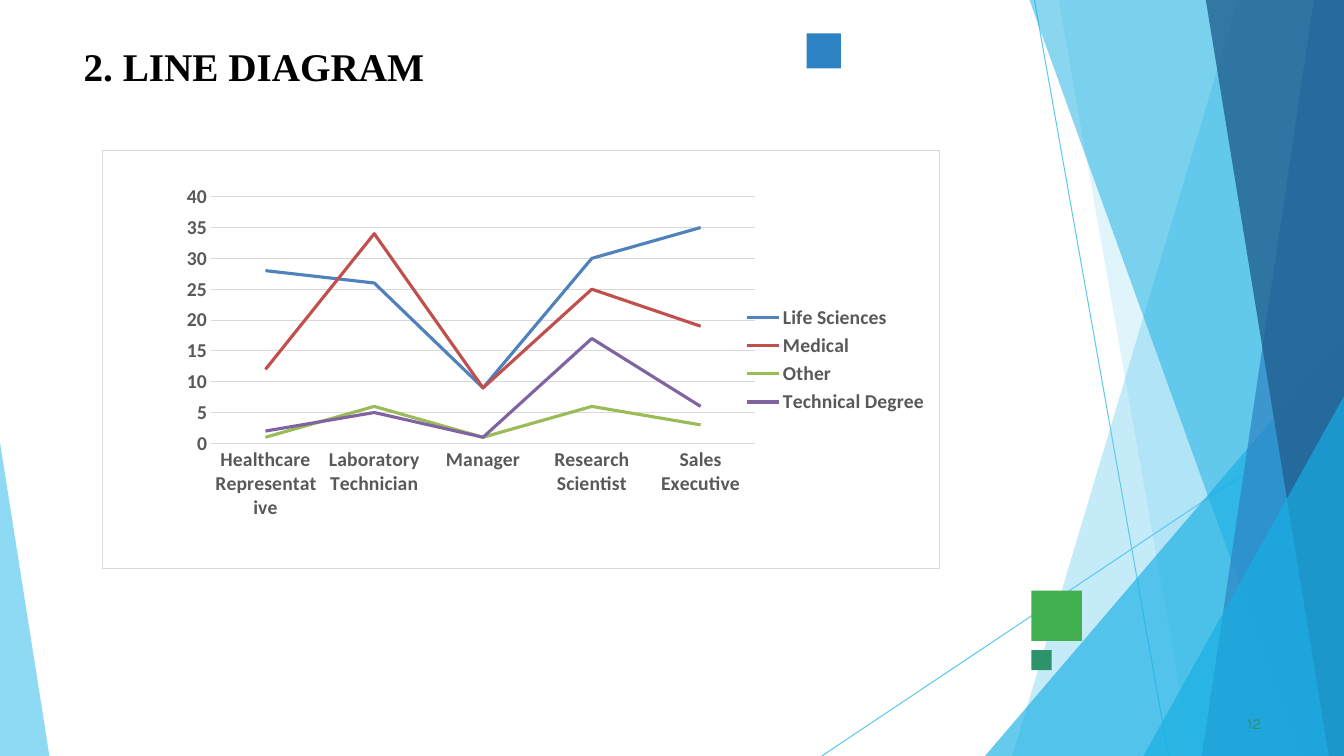
import lxml.etree
import pptx
import pptx.chart.data
import pptx.dml.color
import pptx.enum.chart
import pptx.enum.shapes
import pptx.enum.text
import pptx.oxml
import pptx.oxml.ns
import pptx.util
from pptx.util import Inches

WIDTH, HEIGHT = 13.33, 7.5
COLORS = {
    "sky": "5FCAEE", "cyan": "17AFE3", "blue": "2D83C3", "navy": "226192",
    "green": "42AF51", "teal": "2D936B", "black": "000000", "white": "FFFFFF",
    "label": "595959", "grid": "D9D9D9", "Life Sciences": "4F81BD",
    "Medical": "C0504D", "Other": "9BBB59", "Technical Degree": "8064A2",
}
JOB_ROLES = ["Healthcare Representative", "Laboratory Technician", "Manager",
             "Research Scientist", "Sales Executive"]
EDUCATION_FIELDS = {
    "Life Sciences": [28, 26, 9, 30, 35],
    "Medical": [12, 34, 9, 25, 19],
    "Other": [1, 6, 1, 6, 3],
    "Technical Degree": [2, 5, 1, 17, 6],
}


class SlideBuilder:
    """Draws styled elements on one slide."""

    def __init__(self, slide, colors):
        self.slide = slide
        self.colors = colors

    def color(self, name):
        return pptx.dml.color.RGBColor.from_string(self.colors[name])

    def fill(self, shape, color, opacity=100):
        shape.shadow.inherit = False
        shape.fill.solid()
        shape.fill.fore_color.rgb = self.color(color)
        shape.line.fill.background()
        if opacity < 100:
            color_element = shape.fill._xPr.find(".//" + pptx.oxml.ns.qn("a:srgbClr"))
            alpha = lxml.etree.SubElement(color_element, pptx.oxml.ns.qn("a:alpha"))
            alpha.set("val", str(opacity * 1000))

    def polygon(self, points, color, opacity):
        corners = [(Inches(x), Inches(y)) for x, y in points]
        builder = self.slide.shapes.build_freeform(*corners[0], scale=1.0)
        builder.add_line_segments(corners[1:], close=True)
        self.fill(builder.convert_to_shape(), color, opacity)

    def rectangle(self, left, top, width, height, color):
        shape = self.slide.shapes.add_shape(
            pptx.enum.shapes.MSO_SHAPE.RECTANGLE,
            Inches(left), Inches(top), Inches(width), Inches(height))
        self.fill(shape, color)

    def line(self, start, end, color):
        connector = self.slide.shapes.add_connector(
            pptx.enum.shapes.MSO_CONNECTOR.STRAIGHT,
            *(Inches(value) for value in (*start, *end)))
        connector.line.color.rgb = self.color(color)
        connector.line.width = pptx.util.Pt(0.75)
        properties = connector._element.spPr
        lxml.etree.SubElement(properties, pptx.oxml.ns.qn("a:effectLst"))

    def text(self, box, text, font_name, size, color, bold=False):
        shape = self.slide.shapes.add_textbox(*(Inches(value) for value in box))
        frame = shape.text_frame
        frame.word_wrap = True
        frame.vertical_anchor = pptx.enum.text.MSO_ANCHOR.TOP
        frame.margin_left = frame.margin_right = 0
        frame.margin_top = frame.margin_bottom = 0
        frame.text = text
        self.font(frame.paragraphs[0].runs[0].font, color, size, font_name, bold)
        return frame.paragraphs[0]

    def font(self, font, color, size=14, name="Calibri", bold=True):
        font.name = name
        font.size = pptx.util.Pt(size)
        font.bold = bold
        font.color.rgb = self.color(color)

    def axis(self, axis):
        axis.major_tick_mark = pptx.enum.chart.XL_TICK_MARK.NONE
        axis.minor_tick_mark = pptx.enum.chart.XL_TICK_MARK.NONE
        self.font(axis.tick_labels.font, "label")

    def rule(self, line):
        line.color.rgb = self.color("grid")
        line.width = pptx.util.Pt(0.75)

    def line_chart(self, box, categories, series_values, plot_area):
        data = pptx.chart.data.CategoryChartData()
        data.categories = categories
        for name, values in series_values.items():
            data.add_series(name, values)
        chart = self.slide.shapes.add_chart(
            pptx.enum.chart.XL_CHART_TYPE.LINE,
            *(Inches(value) for value in box), data).chart
        chart.has_title = False
        self.font(chart.font, "black")
        chart.plots[0].vary_by_categories = False
        for series in chart.plots[0].series:
            series.smooth = False
            series.format.line.color.rgb = self.color(series.name)
            series.format.line.width = pptx.util.Pt(2.25)
        self.axis(chart.category_axis)
        self.rule(chart.category_axis.format.line)
        values_axis = chart.value_axis
        self.axis(values_axis)
        values_axis.minimum_scale, values_axis.maximum_scale = 0, 40
        values_axis.major_unit = 5
        values_axis.format.line.fill.background()
        values_axis.has_major_gridlines = True
        self.rule(values_axis.major_gridlines.format.line)
        chart.has_legend = True
        chart.legend.position = pptx.enum.chart.XL_LEGEND_POSITION.RIGHT
        chart.legend.include_in_layout = False
        self.font(chart.legend.font, "label")
        self.chart_frame(chart, plot_area)

    def chart_frame(self, chart, plot_area):
        namespaces = pptx.oxml.ns.nsdecls("c", "a")
        frame = pptx.oxml.parse_xml(
            f'<c:spPr {namespaces}><a:solidFill><a:srgbClr val="{self.colors["white"]}"/>'
            f'</a:solidFill><a:ln w="9525"><a:solidFill>'
            f'<a:srgbClr val="{self.colors["grid"]}"/></a:solidFill></a:ln></c:spPr>')
        chart_element = chart.element.find(pptx.oxml.ns.qn("c:chart"))
        chart_element.addnext(frame)
        plot = chart_element.find(pptx.oxml.ns.qn("c:plotArea"))
        for layout in plot.findall(pptx.oxml.ns.qn("c:layout")):
            plot.remove(layout)
        sizes = "".join(f'<c:{key} val="{value}"/>'
                        for key, value in zip("xywh", plot_area))
        plot.insert(0, pptx.oxml.parse_xml(
            f'<c:layout {namespaces}><c:manualLayout><c:layoutTarget val="inner"/>'
            f'<c:xMode val="edge"/><c:yMode val="edge"/>{sizes}'
            f'</c:manualLayout></c:layout>'))


def main():
    presentation = pptx.Presentation()
    presentation.slide_width = Inches(WIDTH)
    presentation.slide_height = Inches(HEIGHT)
    slide = presentation.slides.add_slide(presentation.slide_layouts[6])
    builder = SlideBuilder(slide, COLORS)

    builder.line((10.26, 0), (11.59, HEIGHT), "sky")
    builder.line((WIDTH, 4.04), (8.15, HEIGHT), "sky")

    right_bands = [
        (12.28, 0, 10.04, "sky", 36),
        (10.5, 0, 11.82, "sky", 20),
        (WIDTH, 3.33, 9.77, "cyan", 66),
        (10.21, 0, 12.91, "cyan", 50),
        (13.03, 0, 11.92, "blue", 70),
        (11.96, 0, 13.18, "navy", 80),
        (WIDTH, 3.93, 11.34, "cyan", 66),
    ]
    for top_left, top, bottom_left, color, opacity in right_bands:
        points = [(WIDTH, top), (top_left, top), (bottom_left, HEIGHT), (WIDTH, HEIGHT)]
        builder.polygon(list(dict.fromkeys(points)), color, opacity)
    builder.polygon([(0, 4.39), (0, HEIGHT), (0.49, HEIGHT)], "sky", 70)

    builder.rectangle(10.23, 5.86, 0.5, 0.5, "green")
    builder.rectangle(8, 0.33, 0.34, 0.35, "blue")
    builder.rectangle(10.23, 6.45, 0.2, 0.2, "teal")

    number = builder.text((12.33, 7.08, 0.25, 0.21), "12", "Karla", 11, "teal")
    number._p.get_or_add_pPr().set("marL", str(Inches(0.04)))
    builder.text((0.83, 0.42, 11.68, 0.94), "2. LINE DIAGRAM",
                 "Times New Roman", 28, "black", bold=True)
    builder.line_chart((1.01, 1.49, 8.31, 4.16), JOB_ROLES, EDUCATION_FIELDS,
                       (0.13, 0.11, 0.65, 0.59))
    presentation.save("out.pptx")


if __name__ == "__main__":
    main()
